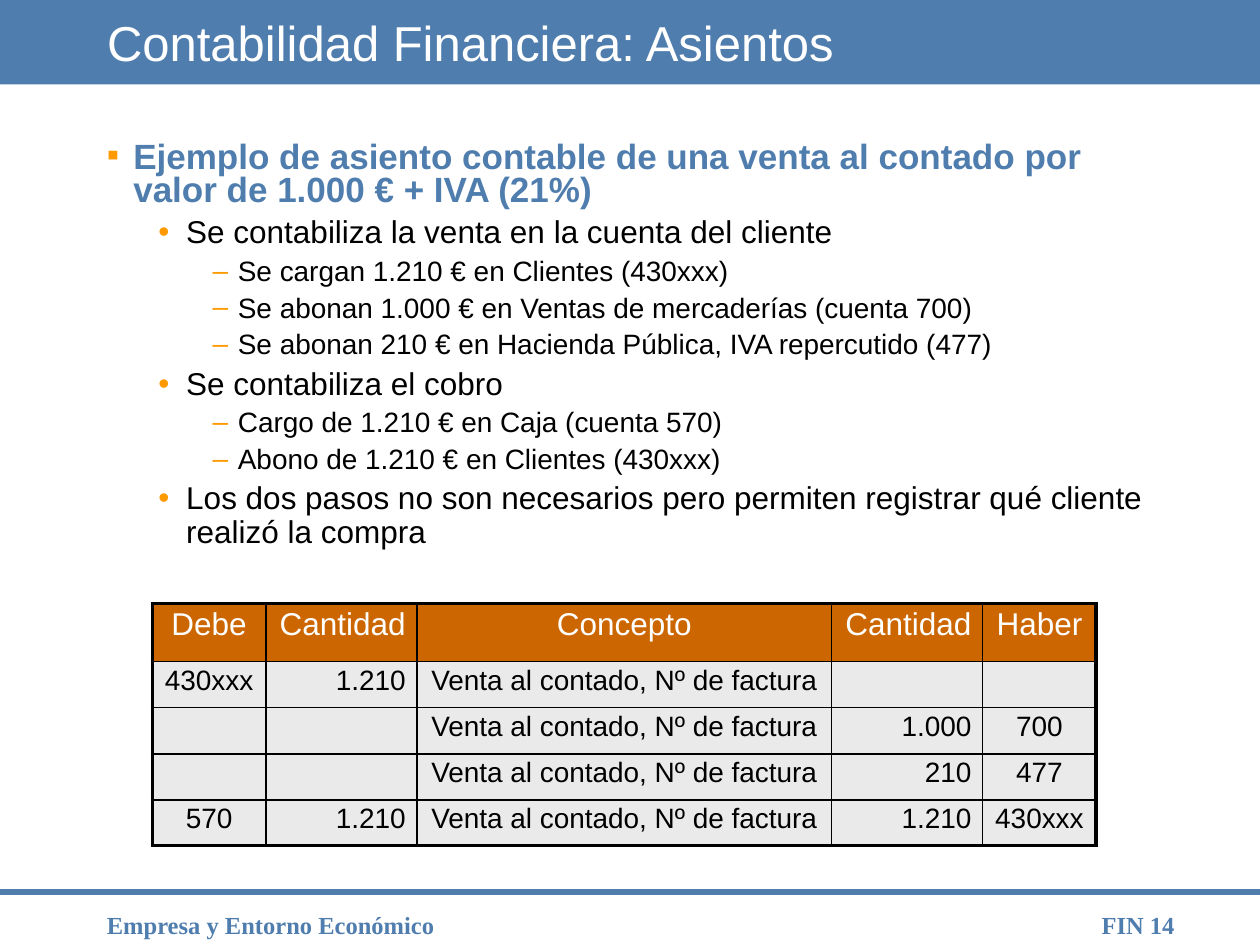
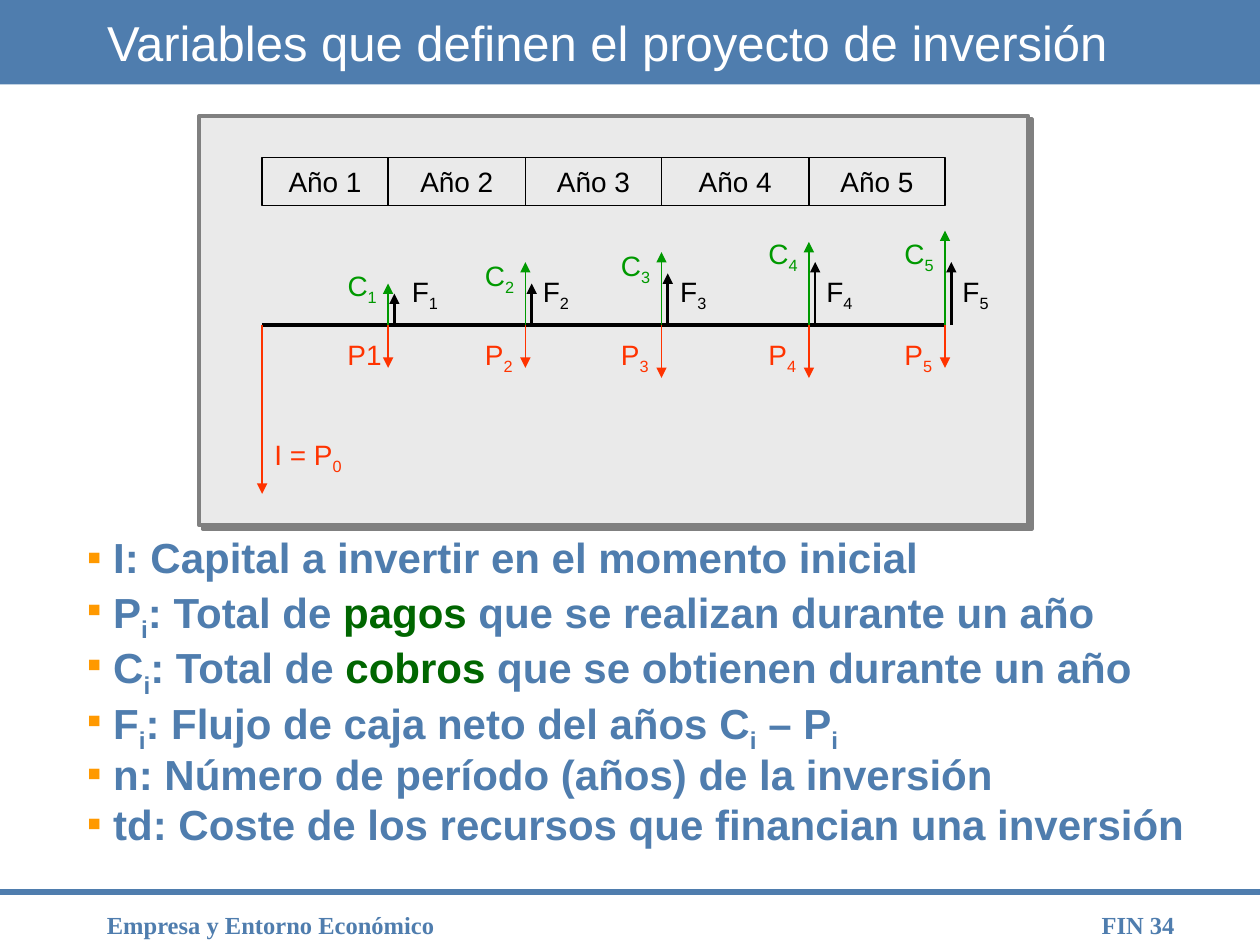
"""Build two finance course slides: a journal entry and an investment timeline."""
from lxml import etree
from pptx import Presentation
from pptx.dml.color import RGBColor
from pptx.enum.shapes import MSO_CONNECTOR as Connector, MSO_SHAPE as Shape
from pptx.enum.text import MSO_ANCHOR as Anchor, PP_ALIGN as Align
from pptx.oxml.ns import qn
from pptx.util import Emu, Inches, Pt

BLUE = RGBColor(0x4F, 0x7D, 0xAE)
ORANGE = RGBColor(0xFF, 0x99, 0x00)
RUST = RGBColor(0xCC, 0x66, 0x00)
RED = RGBColor(0xFF, 0x33, 0x00)
GREEN = RGBColor(0x00, 0x99, 0x00)
DARK_GREEN = RGBColor(0x00, 0x66, 0x00)
GREY = RGBColor(0x80, 0x80, 0x80)
PALE = RGBColor(0xEA, 0xEA, 0xEA)
WHITE = RGBColor(0xFF, 0xFF, 0xFF)
BLACK = RGBColor(0, 0, 0)

FOOTER = "Empresa y Entorno Económico"
LEVELS = [
    dict(size=20, colour=BLUE, bold=True, spacing=0.8, bullet="▪", margin=0.21, hang=0.21),
    dict(size=18, spacing=0.9, bullet="•", margin=0.63, hang=0.22),
    dict(size=16, spacing=0.9, bullet="–", margin=1.04, hang=0.2),
]

ENTRY_TITLE = "Contabilidad Financiera: Asientos"
ENTRY_POINTS = [
    (0, "Ejemplo de asiento contable de una venta al contado por valor de 1.000 € + IVA (21%)"),
    (1, "Se contabiliza la venta en la cuenta del cliente"),
    (2, "Se cargan 1.210 € en Clientes (430xxx)"),
    (2, "Se abonan 1.000 € en Ventas de mercaderías (cuenta 700)"),
    (2, "Se abonan 210 € en Hacienda Pública, IVA repercutido (477)"),
    (1, "Se contabiliza el cobro"),
    (2, "Cargo de 1.210 € en Caja (cuenta 570)"),
    (2, "Abono de 1.210 € en Clientes (430xxx)"),
    (1, "Los dos pasos no son necesarios pero permiten registrar qué cliente realizó la compra"),
]
CONCEPT = "Venta al contado, Nº de factura"
JOURNAL = [
    ("Debe", "Cantidad", "Concepto", "Cantidad", "Haber"),
    ("430xxx", "1.210", CONCEPT, "", ""),
    ("", "", CONCEPT, "1.000", "700"),
    ("", "", CONCEPT, "210", "477"),
    ("570", "1.210", CONCEPT, "1.210", "430xxx"),
]
COLUMN_WIDTHS = [0.9, 1.2, 3.29, 1.2, 0.9]
COLUMN_ALIGNS = [Align.CENTER, Align.RIGHT, Align.CENTER, Align.RIGHT, Align.CENTER]
ROW_HEIGHTS = [0.46] + [0.36] * 4

PROJECT_TITLE = "Variables que definen el proyecto de inversión"
PROJECT_POINTS = [
    "I: Capital a invertir en el momento inicial",
    "P_i: Total de *pagos* que se realizan durante un año",
    "C_i: Total de *cobros* que se obtienen durante un año",
    "F_i: Flujo de caja neto del años C_i – P_i",
    "n: Número de período (años) de la inversión",
    "td: Coste de los recursos que financian una inversión",
]
START, AXIS = 2.08, 2.58
YEARS = [
    dict(end=3.08, payment=2.92, income=2.25, flow=2.33, income_top=2.08, flow_left=3.17),
    dict(end=4.17, payment=2.92, income=2.08, flow=2.25, income_top=2.0, flow_left=4.21),
    dict(end=5.25, payment=3.0, income=2.0, flow=2.17, income_top=1.92, flow_left=5.3),
    dict(end=6.42, payment=3.0, income=1.92, flow=2.08, income_top=1.83, flow_left=6.46),
    dict(end=7.5, payment=2.92, income=1.83, flow=2.08, income_top=1.83, flow_left=7.54),
]


def add_xml(parent, tag, **attributes):
    """Append a DrawingML element and return it."""
    return etree.SubElement(parent, qn("a:" + tag), attributes)


def add_colour(parent, colour):
    """Append an RGB colour element."""
    add_xml(parent, "srgbClr", val=str(colour))


def write(para, text, size=16, colour=BLACK, bold=False, font="Arial", align=Align.LEFT,
          spacing=None, bullet=None, margin=0, hang=0):
    """Fill a paragraph; *stars* accent words and _ lowers the next letter."""
    para.alignment = align
    if spacing:
        para.line_spacing = spacing
        para.space_before = Pt(round(size * 0.23, 1))
    if bullet:
        props = para._p.get_or_add_pPr()
        props.set("marL", str(Inches(margin)))
        props.set("indent", str(-Inches(hang)))
        add_colour(add_xml(props, "buClr"), ORANGE)
        add_xml(props, "buFont", typeface="Arial")
        add_xml(props, "buChar", char=bullet)
    for index, chunk in enumerate(text.split("*")):
        first, *lowered = chunk.split("_")
        pieces = [(first, False)]
        for part in lowered:
            pieces += [(part[0], True), (part[1:], False)]
        for piece, is_low in pieces:
            if not piece:
                continue
            span = para.add_run()
            span.text = piece
            span.font.name, span.font.size, span.font.bold = font, Pt(size), bold
            span.font.color.rgb = DARK_GREEN if index % 2 else colour
            if is_low:
                span._r.get_or_add_rPr().set("baseline", "-25000")
    if not text:
        add_xml(para._p, "endParaRPr", sz=str(size * 100))


def add_text(page, left, top, width, height, *items):
    """Add a wrapped text box with one paragraph per (text, format) item."""
    box = page.shapes.add_textbox(Inches(left), Inches(top), Inches(width), Inches(height))
    frame = box.text_frame
    frame.word_wrap = True
    for index, (text, style) in enumerate(items):
        write(frame.add_paragraph() if index else frame.paragraphs[0], text, **style)


def add_box(page, left, top, width, height, fill=None, line=None, weight=0.75):
    """Add a flat rectangle."""
    box = page.shapes.add_shape(Shape.RECTANGLE, Inches(left), Inches(top),
                                Inches(width), Inches(height))
    box.shadow.inherit = False
    if fill is None:
        box.fill.background()
    else:
        box.fill.solid()
        box.fill.fore_color.rgb = fill
    if line is None:
        box.line.fill.background()
    else:
        box.line.color.rgb = line
        box.line.width = Pt(weight)
    return box


def add_line(page, start, end, colour, weight, arrow=False):
    """Add a straight line, with an arrowhead at its end on request."""
    line = page.shapes.add_connector(Connector.STRAIGHT, *map(Inches, start + end))
    line.line.color.rgb = colour
    line.line.width = Pt(weight)
    props = line.element.spPr
    if arrow:
        add_xml(props.find(qn("a:ln")), "tailEnd", type="triangle")
    add_xml(props, "effectLst")


def add_page(deck, title, number):
    """Add a slide with its band, title and footer."""
    page = deck.slides.add_slide(deck.slide_layouts[5])
    add_box(page, 0, 0, 10, 0.67, fill=BLUE)
    add_line(page, (0, 7.08), (10, 7.08), BLUE, 3)
    style = dict(size=14, colour=BLUE, bold=True, font="Times New Roman")
    add_text(page, 8.07, 7.17, 1.35, 0.25, (f"FIN {number}", dict(style, align=Align.RIGHT)))
    add_text(page, 0.75, 7.17, 4.67, 0.25, (FOOTER, style))
    heading = page.shapes.title
    heading.left, heading.top = Inches(0.75), Inches(0)
    heading.width, heading.height = Inches(8.5), Inches(0.67)
    heading.text_frame.vertical_anchor = Anchor.MIDDLE
    write(heading.text_frame.paragraphs[0], title, size=28, colour=WHITE)
    heading.element.getparent().append(heading.element)
    return page


def style_cell(cell, fill, thick_sides):
    """Fill a cell and draw its borders, heavier on the outer sides."""
    cell.margin_left = cell.margin_right = Inches(0.09)
    props = cell._tc.get_or_add_tcPr()
    for side in "LRTB":
        weight = 2.25 if side in thick_sides else 1
        border = add_xml(props, "ln" + side, w=str(Pt(weight)))
        add_colour(add_xml(border, "solidFill"), BLACK)
    cell.fill.solid()
    cell.fill.fore_color.rgb = fill


def add_journal(page):
    """Add the journal entry table."""
    last_row, last_column = len(JOURNAL) - 1, len(COLUMN_WIDTHS) - 1
    table = page.shapes.add_table(len(JOURNAL), len(COLUMN_WIDTHS), Inches(1.21), Inches(4.79),
                                  Inches(sum(COLUMN_WIDTHS)), Inches(sum(ROW_HEIGHTS))).table
    table.first_row = table.horz_banding = False
    for column, width in zip(table.columns, COLUMN_WIDTHS):
        column.width = Inches(width)
    for row, height in zip(table.rows, ROW_HEIGHTS):
        row.height = Inches(height)
    for r, values in enumerate(JOURNAL):
        size, colour, fill = (16, BLACK, PALE) if r else (18, WHITE, RUST)
        for c, value in enumerate(values):
            edges = {"L": c == 0, "R": c == last_column, "T": r == 0, "B": r == last_row}
            cell = table.cell(r, c)
            style_cell(cell, fill, [side for side, is_outer in edges.items() if is_outer])
            write(cell.text_frame.paragraphs[0], value, size=size, colour=colour,
                  align=COLUMN_ALIGNS[c], spacing=0.9)


def add_panel(page):
    """Add the grey panel with its hard shadow."""
    panel = add_box(page, 1.58, 0.92, 6.58, 3.25, fill=PALE, line=GREY, weight=2.25)
    effects = panel.element.spPr.find(qn("a:effectLst"))
    shadow = add_xml(effects, "outerShdw", dist=str(Pt(2.8)), dir="2700000",
                     algn="ctr", rotWithShape="0")
    add_colour(shadow, GREY)


def add_timeline(page):
    """Draw payments, income and cash flow for each year."""
    add_line(page, (START, AXIS), (YEARS[-1]["end"], AXIS), BLACK, 2.25)
    add_line(page, (START, AXIS), (START, 3.92), RED, 0.75, arrow=True)
    add_text(page, START, 3.42, 0.75, 0.37, ("I = P_0", dict(colour=RED)))
    left = START
    for number, year in enumerate(YEARS, 1):
        end = year["end"]
        for kind, x, colour, weight in [("payment", end, RED, 0.75), ("income", end, GREEN, 0.75),
                                        ("flow", end + 0.05, BLACK, 1.5)]:
            add_line(page, (x, AXIS), (x, year[kind]), colour, weight, arrow=True)
        payment = f"P_{number}" if number > 1 else "P1"
        add_text(page, year["flow_left"], 2.13, 0.42, 0.37, (f"F_{number}", {}))
        add_text(page, end - 0.42, year["income_top"], 0.45, 0.37,
                 (f"C_{number}", dict(colour=GREEN)))
        add_text(page, end - 0.42, 2.63, 0.47, 0.37, (payment, dict(colour=RED)))
        box = add_box(page, left, 1.25, end - left, 0.38, line=BLACK)
        write(box.text_frame.paragraphs[0], f"Año {number}", align=Align.CENTER)
        left = end


def main():
    """Build and save the deck."""
    deck = Presentation()
    deck.slide_width, deck.slide_height = Inches(10), Inches(7.5)

    page = add_page(deck, ENTRY_TITLE, 14)
    add_text(page, 0.75, 1.08, 8.5, 3.42,
             *[(text, LEVELS[level]) for level, text in ENTRY_POINTS])
    add_journal(page)

    page = add_page(deck, PROJECT_TITLE, 34)
    add_panel(page)
    add_text(page, 0.59, 4.25, 8.98, 2.73,
             *[(text, dict(LEVELS[0], size=24)) for text in PROJECT_POINTS])
    add_timeline(page)
    deck.save("out.pptx")


if __name__ == "__main__":
    main()
